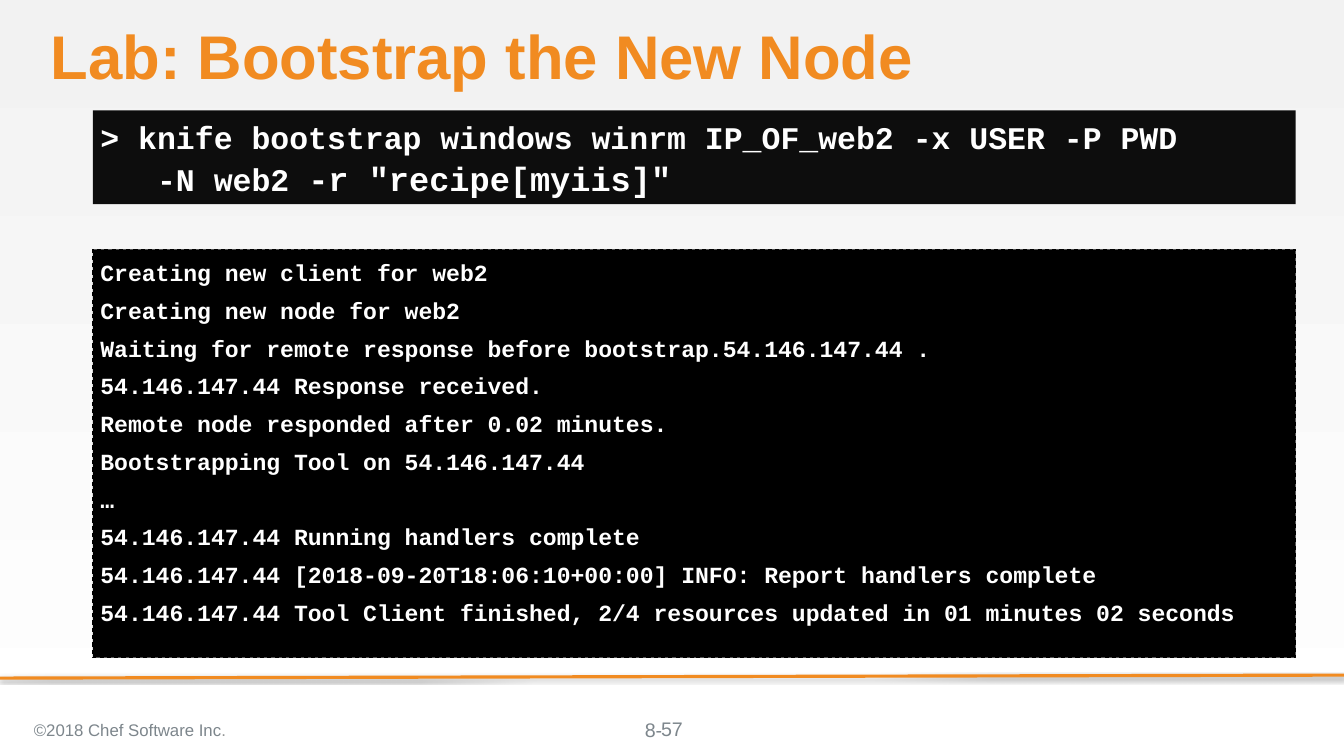
import pptx
import pptx.util
import pptx.dml.color
import pptx.enum.shapes
import pptx.enum.text
import pptx.oxml
import pptx.oxml.ns
from pptx.util import Inches

COLORS = {
    "orange": "F18B21", "gray": "7D868C", "dot": "929494", "white": "FFFFFF",
    "pale": "F2F2F2", "black": "000000", "command": "0D0D0D",
}
ANCHOR = pptx.enum.text.MSO_ANCHOR
ALIGN = pptx.enum.text.PP_ALIGN
OUTPUT = [
    "Creating new client for web2",
    "Creating new node for web2",
    "Waiting for remote response before bootstrap.54.146.147.44 .",
    "54.146.147.44 Response received.",
    "Remote node responded after 0.02 minutes.",
    "Bootstrapping Tool on 54.146.147.44",
    "…",
    "54.146.147.44 Running handlers complete",
    "54.146.147.44 [2018-09-20T18:06:10+00:00] INFO: Report handlers complete",
    "54.146.147.44 Tool Client finished, 2/4 resources updated in 01 minutes 02 seconds",
]


def color(name):
    return pptx.dml.color.RGBColor.from_string(COLORS[name])


def style(font, size, name, face="Arial", bold=False):
    font.size = pptx.util.Pt(size)
    font.name = face
    font.bold = bold
    font.color.rgb = color(name)


def set_frame(frame, anchor, margins=(0.1, 0.05, 0.1, 0.05)):
    frame.word_wrap = True
    frame.vertical_anchor = anchor
    (frame.margin_left, frame.margin_top,
     frame.margin_right, frame.margin_bottom) = map(Inches, margins)
    return frame


def add_text(page, bounds, anchor, margins=(0.1, 0.05, 0.1, 0.05)):
    box = page.shapes.add_textbox(*map(Inches, bounds))
    return set_frame(box.text_frame, anchor, margins).paragraphs[0]


def add_panel(page, bounds, fill):
    panel = page.shapes.add_shape(
        pptx.enum.shapes.MSO_SHAPE.RECTANGLE, *map(Inches, bounds))
    panel.shadow.inherit = False
    panel.fill.solid()
    panel.fill.fore_color.rgb = color(fill)
    panel.line.fill.background()
    return panel


def paint_background(page):
    fill = page.background.fill
    fill.gradient()
    fill.gradient_angle = 270
    for stop, name, position in zip(fill.gradient_stops, ("pale", "white"), (0, 1)):
        stop.color.rgb = color(name)
        stop.position = position


def add_title(page, bounds):
    para = add_text(page, bounds, ANCHOR.MIDDLE, (0, 0, 0, 0))
    para.text = "Lab: Bootstrap the New Node"
    para.line_spacing = 0.9
    style(para.font, 58.7, "orange", bold=True)


def add_command(page, bounds):
    panel = add_panel(page, bounds, "command")
    para = set_frame(panel.text_frame, ANCHOR.MIDDLE, (0.1, 0, 0, 0)).paragraphs[0]
    para.alignment = ALIGN.LEFT
    para.line_spacing = 1.06
    properties = para._p.get_or_add_pPr()
    properties.set("marL", str(Inches(0.5)))
    properties.set("indent", str(Inches(-0.5)))
    parts = [
        ("> knife bootstrap windows winrm IP_OF_web2 -x USER -P PWD", 30),
        (" -N web2 ", 30),
        ('-r "recipe[myiis]"', 32),
    ]
    for index, (text, size) in enumerate(parts):
        if index == 1:
            para.add_line_break()
        span = para.add_run()
        span.text = text
        style(span.font, size, "white", "Courier New", True)


def add_output(page, bounds):
    panel = add_panel(page, bounds, "black")
    panel.line.color.rgb = color("black")
    panel.line.width = pptx.util.Pt(1)
    panel.line.dash_style = pptx.enum.dml.MSO_LINE.DASH
    frame = set_frame(panel.text_frame, ANCHOR.TOP, (0.1, 0.1, 0.1, 0.05))
    for index, text in enumerate(OUTPUT):
        para = frame.add_paragraph() if index else frame.paragraphs[0]
        para.text = text
        para.alignment = ALIGN.LEFT
        para.line_spacing = 1.06
        para.space_before = pptx.util.Pt(8 if index else 0)
        style(para.font, 22, "white", "Courier New", True)


def add_rule(page, left, top, width, height):
    rule = page.shapes.add_connector(
        pptx.enum.shapes.MSO_CONNECTOR.STRAIGHT, Inches(left + width), Inches(top),
        Inches(left), Inches(top + height))
    rule.line.color.rgb = color("orange")
    rule.line.width = pptx.util.Pt(3)
    blur, distance = pptx.util.Pt(3.1), pptx.util.Pt(1.8)
    rule._element.spPr.append(pptx.oxml.parse_xml(
        f'<a:effectLst {pptx.oxml.ns.nsdecls("a")}>'
        f'<a:outerShdw blurRad="{blur}" dist="{distance}" dir="5400000" rotWithShape="0">'
        f'<a:srgbClr val="{COLORS["black"]}"><a:alpha val="35000"/></a:srgbClr>'
        '</a:outerShdw></a:effectLst>'))


def add_footer(page, left, top, width, height):
    para = add_text(page, (left, top, 6.21, height), ANCHOR.MIDDLE)
    for text, name in (("©2018 Chef Software Inc", "gray"), (".", "dot")):
        span = para.add_run()
        span.text = text
        style(span.font, 16, name)

    center = left + width / 2
    chapter = add_text(page, (center - 0.36, top + 0.11, 0.8, 0.31), ANCHOR.TOP, (0, 0, 0, 0))
    chapter.text = "8-"
    number = add_text(page, (center - 2, top, 4, 0.53), ANCHOR.MIDDLE)
    number.text = "57"
    number.alignment = ALIGN.CENTER
    for para in (chapter, number):
        style(para.font, 18.7, "gray")


def main():
    deck = pptx.Presentation()
    deck.slide_width = Inches(17.78)
    deck.slide_height = Inches(10)
    page = deck.slides.add_slide(deck.slide_layouts[6])
    paint_background(page)
    add_rule(page, 0, 8.93, 17.78, 0.04)
    add_output(page, (1.23, 3.3, 15.91, 5.4))
    add_title(page, (0.67, 0.33, 16.33, 0.91))
    add_command(page, (1.23, 1.46, 15.91, 1.24))
    add_footer(page, 0.35, 9.38, 17.08, 0.56)
    deck.save("out.pptx")


if __name__ == "__main__":
    main()
